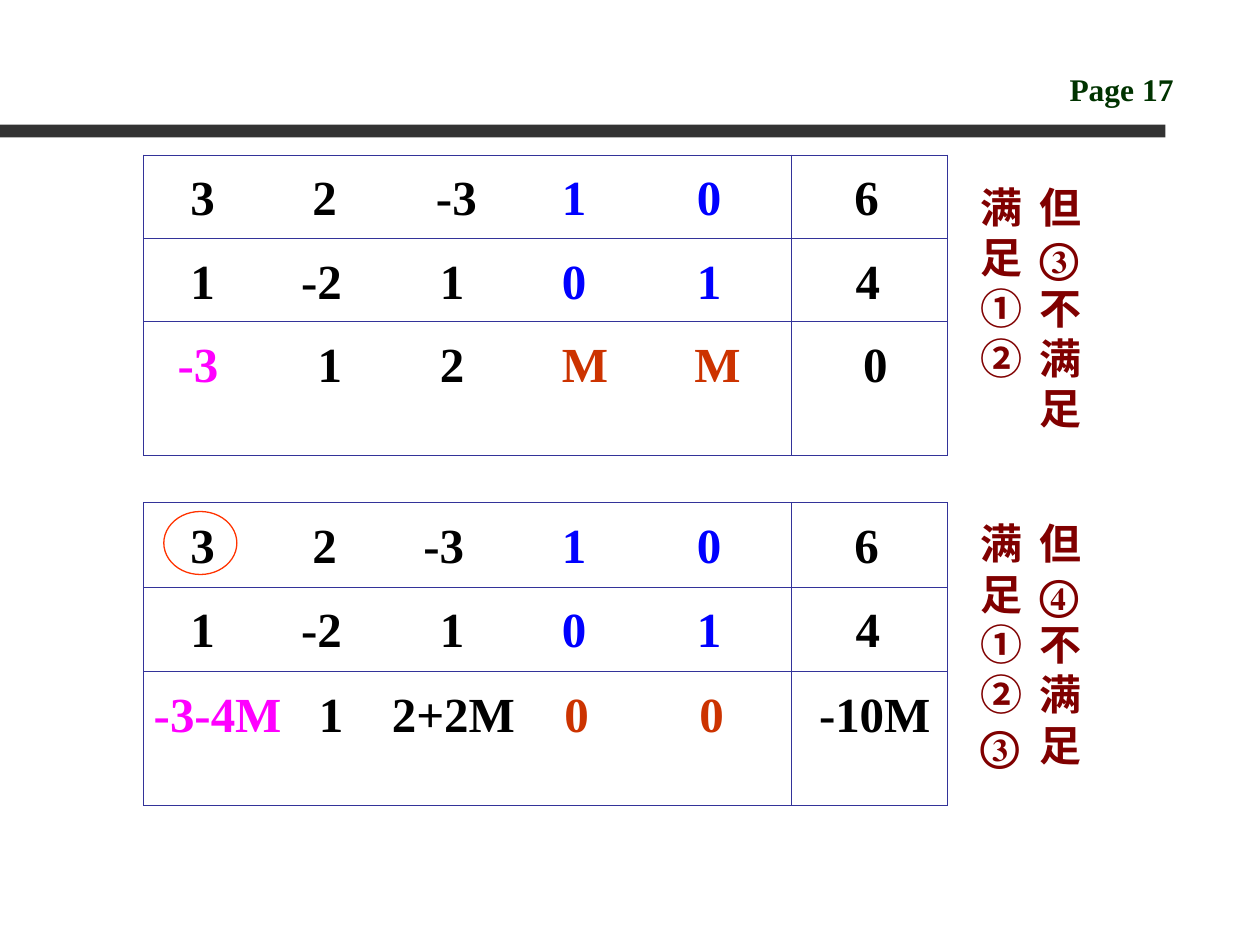
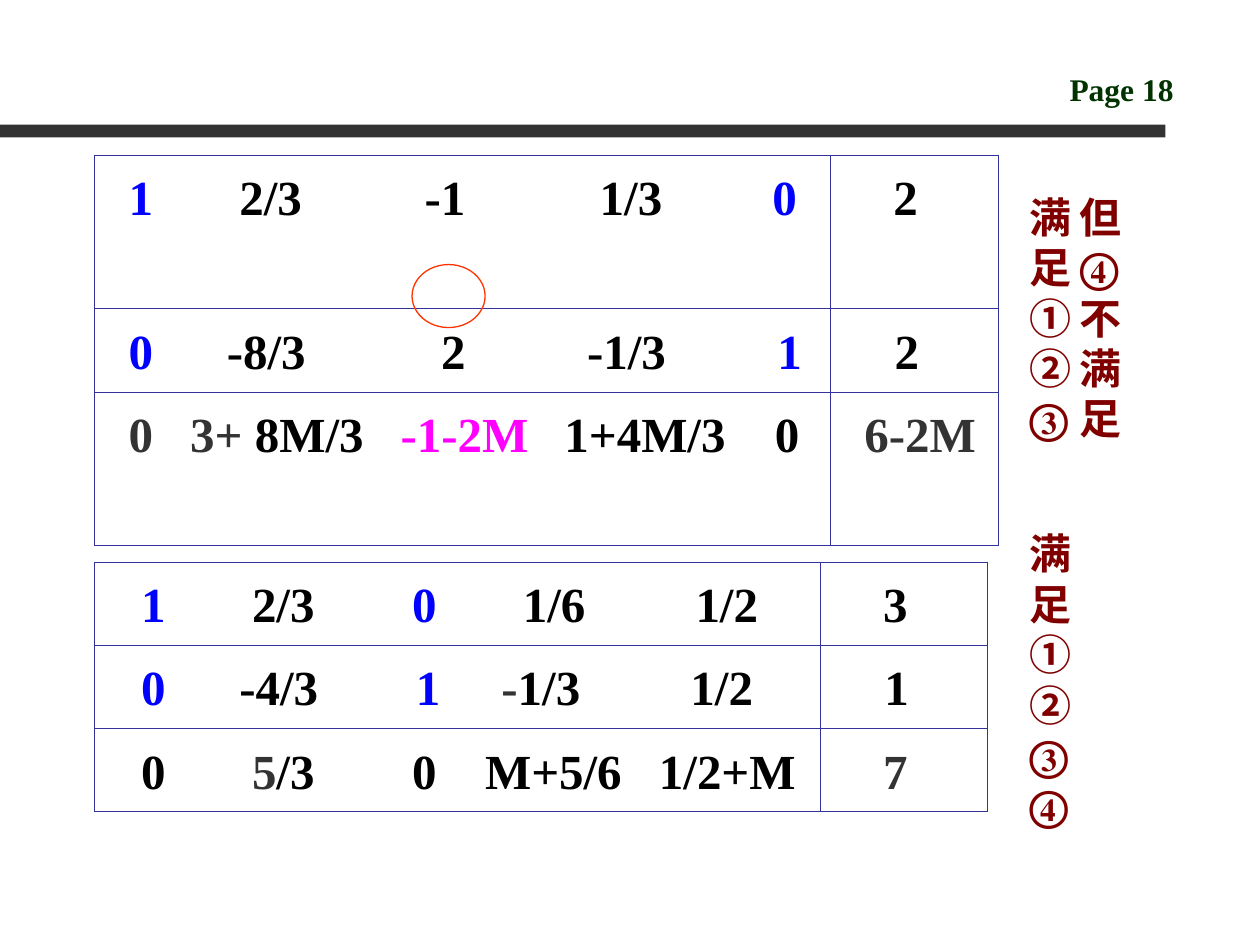
from lxml import etree
from pptx import Presentation
from pptx.dml.color import RGBColor
from pptx.enum.shapes import MSO_SHAPE
from pptx.oxml.ns import qn
from pptx.util import Inches, Pt

COLORS = {
    "black": "000000",
    "bar": "333333",
    "grey": "333333",
    "page": "003300",
    "basis": "0000FF",
    "entering": "FF00FF",
    "penalty": "CC3300",
    "pivot": "FF3300",
    "border": "333399",
    "note": "800000",
}
FONT = "Times New Roman"
BLANK_LAYOUT = 6
NOTE_LINE = 0.4

# A row is (coefficients, right-hand side). Each entry is (offset in inches, text, colour);
# an offset of None continues straight after the entry before it.
SECOND_CONSTRAINT = (
    [(0.29, "1", "black"), (1.17, "-2", "black"), (2.27, "1", "black"),
     (3.24, "0", "basis"), (4.31, "1", "basis")],
    [(0.43, "4", "black")],
)


def first_constraint(third_offset):
    return (
        [(0.29, "3", "black"), (1.26, "2", "black"), (third_offset, "-3", "black"),
         (3.24, "1", "basis"), (4.31, "0", "basis")],
        [(0.42, "6", "black")],
    )


START_ROWS = [
    first_constraint(2.24),
    SECOND_CONSTRAINT,
    ([(0.19, "-3", "entering"), (1.3, "1", "black"), (2.27, "2", "black"),
      (3.24, "M", "penalty"), (4.29, "M", "penalty")],
     [(0.49, "0", "black")]),
]
REDUCED_ROWS = [
    first_constraint(2.14),
    SECOND_CONSTRAINT,
    ([(0, "-3-4M", "entering"), (1.31, "1", "black"), (1.89, "2+2M", "black"),
      (3.26, "0", "penalty"), (4.33, "0", "penalty")],
     [(0.14, "-10M", "black")]),
]
FIRST_PIVOT_ROWS = [
    ([(0.19, "1", "basis"), (1.07, "2/3", "black"), (2.54, "-1", "black"),
      (3.93, "1/3", "black"), (5.3, "0", "basis")],
     [(0.42, "2", "black")]),
    ([(0.19, "0", "basis"), (0.97, "-8/3", "black"), (2.67, "2", "black"),
      (3.83, "-1/3", "black"), (5.34, "1", "basis")],
     [(0.43, "2", "black")]),
    ([(0.19, "0", "grey"), (0.68, "3+ ", "grey"), (None, "8M/3", "black"),
      (2.35, "-1-2M", "entering"), (3.65, "1+4M/3", "black"), (5.32, "0", "black")],
     [(0.19, "6-2M", "grey")]),
]
OPTIMAL_ROWS = [
    ([(0.29, "1", "basis"), (1.17, "2/3", "black"), (2.44, "0", "basis"),
      (3.32, "1/6", "black"), (4.69, "1/2", "black")],
     [(0.42, "3", "black")]),
    ([(0.29, "0", "basis"), (1.07, "-4/3", "black"), (2.47, "1", "basis"),
      (3.15, "-", "grey"), (None, "1/3", "black"), (4.65, "1/2", "black")],
     [(0.43, "1", "black")]),
    ([(0.29, "0", "black"), (1.17, "5", "grey"), (None, "/3", "black"),
      (2.44, "0", "black"), (3.02, "M+5/6", "black"), (4.4, "1/2+M", "black")],
     [(0.42, "7", "grey")]),
]


def rgb(name):
    return RGBColor.from_string(COLORS[name])


def format_run(run, size, color):
    run.font.name = FONT
    run.font.size = Pt(size)
    run.font.bold = True
    run.font.color.rgb = rgb(color)


def add_text(slide, left, top, width, height, lines, size, color, line_height=None):
    box = slide.shapes.add_textbox(Inches(left), Inches(top), Inches(width), Inches(height))
    frame = box.text_frame
    frame.word_wrap = True
    frame.text = "\n".join(lines)
    for paragraph in frame.paragraphs:
        if line_height:
            paragraph.line_spacing = Inches(line_height)
        for run in paragraph.runs:
            format_run(run, size, color)


def add_header(slide, page):
    bar = slide.shapes.add_shape(
        MSO_SHAPE.RECTANGLE, 0, Inches(0.99), Inches(9.25), Inches(0.1))
    bar.shadow.inherit = False
    bar.fill.solid()
    bar.fill.fore_color.rgb = rgb("bar")
    bar.line.fill.background()
    add_text(slide, 8.39, 0.51, 1.42, 0.4, [f"Page {page}"], 18, "page")


def set_borders(cell):
    properties = cell._tc.get_or_add_tcPr()
    for position, side in enumerate(("lnL", "lnR", "lnT", "lnB")):
        line = etree.Element(qn(f"a:{side}"), w=str(Pt(0.45)))
        fill = etree.SubElement(line, qn("a:solidFill"))
        etree.SubElement(fill, qn("a:srgbClr"), val=COLORS["border"])
        properties.insert(position, line)


def fill_cell(cell, entries):
    """Place the entries of one tableau cell on left tab stops."""
    cell.fill.background()
    set_borders(cell)
    cell.margin_left = cell.margin_right = Inches(0.08)
    paragraph = cell.text_frame.paragraphs[0]
    paragraph.line_spacing = 1.2
    tab_list = etree.SubElement(paragraph._p.get_or_add_pPr(), qn("a:tabLst"))
    for offset, text, color in entries:
        if offset:
            etree.SubElement(tab_list, qn("a:tab"), pos=str(Inches(offset)), algn="l")
        run = paragraph.add_run()
        run.text = f"\t{text}" if offset else text
        format_run(run, 28, color)


def add_tableau(slide, left, top, widths, heights, rows):
    frame = slide.shapes.add_table(
        len(rows), len(widths), Inches(left), Inches(top),
        Inches(sum(widths)), Inches(sum(heights)))
    table = frame.table
    table.first_row = table.horz_banding = False
    for column, width in zip(table.columns, widths):
        column.width = Inches(width)
    for row, height, cells in zip(table.rows, heights, rows):
        row.height = Inches(height)
        for cell, entries in zip(row.cells, cells):
            fill_cell(cell, entries)


def add_pivot_ring(slide, left, top):
    ring = slide.shapes.add_shape(
        MSO_SHAPE.OVAL, Inches(left), Inches(top), Inches(0.58), Inches(0.5))
    ring.shadow.inherit = False
    ring.fill.background()
    ring.line.color.rgb = rgb("pivot")
    ring.line.width = Pt(0.75)


def add_note(slide, left, top, lines):
    """Write a column of characters, one to a line, by wrapping in a narrow box."""
    characters = "".join(lines).replace(" ", "")
    height = 0.1 + NOTE_LINE * len(characters)
    add_text(slide, left, top, 0.63, height, lines, 24, "note", NOTE_LINE)


def add_condition_notes(slide, left, top, gap, satisfied, violated):
    add_note(slide, left, top, ["满足① ②", *satisfied])
    if violated:
        add_note(slide, left + gap, top, ["但", violated, "不", "满足"])


def build_start_slide(slide):
    left, widths = 1.14, (5.14, 1.24)
    add_tableau(slide, left, 1.23, widths, (0.66, 0.66, 1.06), START_ROWS)
    add_tableau(slide, left, 3.99, widths, (0.67, 0.67, 1.06), REDUCED_ROWS)
    add_pivot_ring(slide, left + 0.16, 4.06)
    add_condition_notes(slide, 7.68, 1.39, 0.47, "", "③")
    add_condition_notes(slide, 7.68, 4.06, 0.47, "③", "④")


def build_pivot_slide(slide):
    left = 0.75
    add_tableau(slide, left, 1.23, (5.84, 1.33), (1.22, 0.66, 1.22), FIRST_PIVOT_ROWS)
    add_tableau(slide, left, 4.46, (5.76, 1.33), (0.66,) * 3, OPTIMAL_ROWS)
    add_pivot_ring(slide, left + 2.52, 2.1)
    add_condition_notes(slide, 8.07, 1.47, 0.4, "③", "④")
    add_condition_notes(slide, 8.07, 4.14, 0.4, "③④", None)


def main():
    presentation = Presentation()
    presentation.slide_width = Inches(10)
    presentation.slide_height = Inches(7.5)
    for page, build in enumerate((build_start_slide, build_pivot_slide), start=17):
        slide = presentation.slides.add_slide(presentation.slide_layouts[BLANK_LAYOUT])
        add_header(slide, page)
        build(slide)
    presentation.save("out.pptx")


if __name__ == "__main__":
    main()
